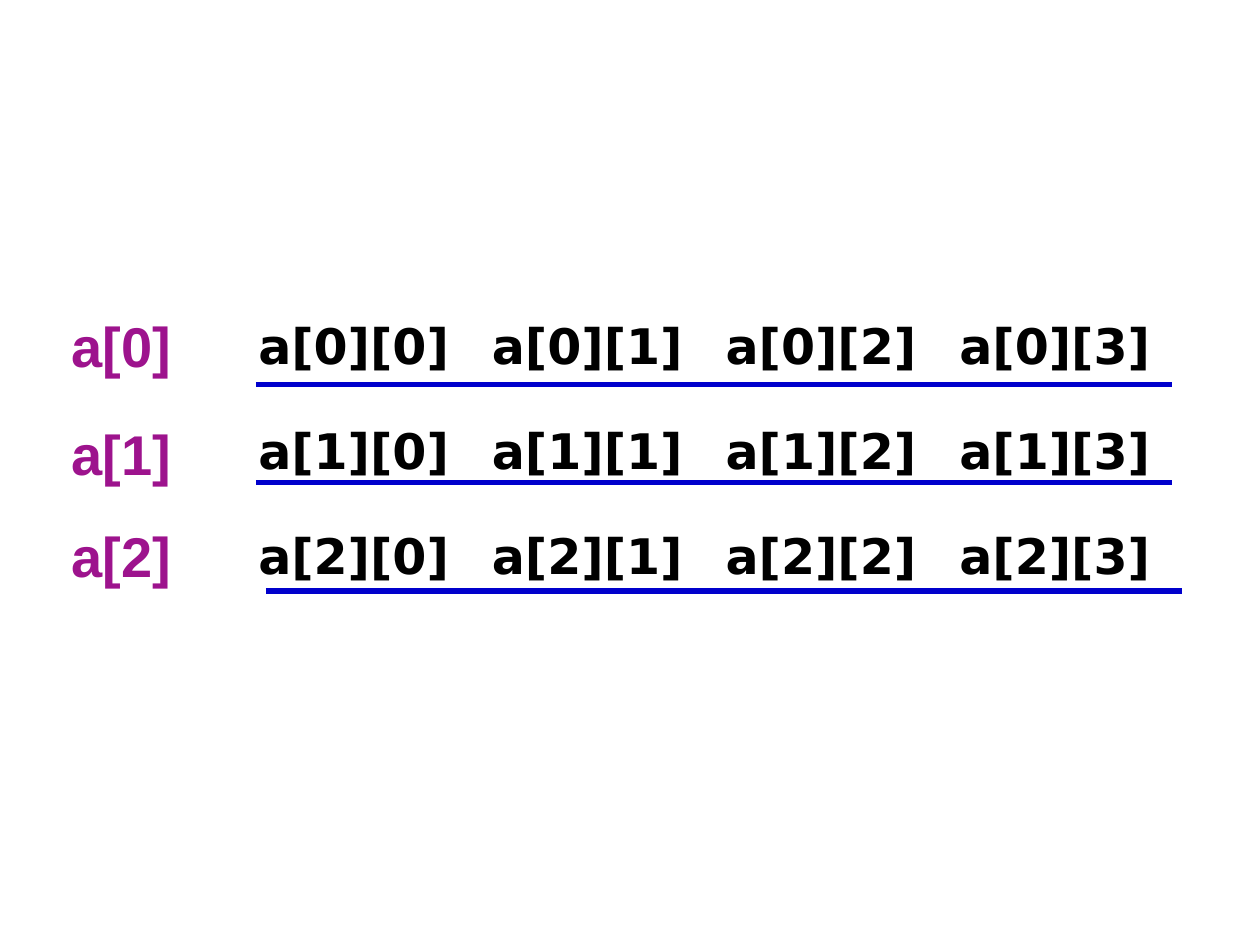
from lxml.etree import SubElement
from pptx import Presentation
from pptx.dml.color import RGBColor
from pptx.enum.shapes import MSO_CONNECTOR
from pptx.enum.text import MSO_ANCHOR, MSO_AUTO_SIZE
from pptx.oxml.ns import qn
from pptx.util import Inches, Pt

COLORS = {"element": "000000", "row_name": "9D138D", "rule": "0000CC", "paper": "FFFFFF"}
ROWS, COLUMNS = 3, 4


def color(name):
    return RGBColor.from_string(COLORS[name])


def write_text(frame, text, font, size, ink):
    span = frame.paragraphs[0].add_run()
    span.text = text
    span.font.name = font
    span.font.size = Pt(size)
    span.font.bold = True
    span.font.color.rgb = color(ink)


def add_element_table(page, left, top, width, height):
    table = page.shapes.add_table(
        ROWS, COLUMNS, Inches(left), Inches(top), Inches(width), Inches(height)
    ).table
    table.first_row = False
    table.horz_banding = False
    for row in range(ROWS):
        for column in range(COLUMNS):
            cell = table.cell(row, column)
            cell.fill.solid()
            cell.fill.fore_color.rgb = color("paper")
            cell.vertical_anchor = MSO_ANCHOR.MIDDLE
            write_text(cell.text_frame, f"a[{row}][{column}]",
                       font="DejaVu Sans", size=28, ink="element")


def add_row_name(page, text, left, top, width, height):
    box = page.shapes.add_textbox(Inches(left), Inches(top), Inches(width), Inches(height))
    box.text_frame.word_wrap = True
    box.text_frame.auto_size = MSO_AUTO_SIZE.SHAPE_TO_FIT_TEXT
    write_text(box.text_frame, text, font="Arial", size=32, ink="row_name")


def add_rule(page, left, top, width):
    rule = page.shapes.add_connector(
        MSO_CONNECTOR.STRAIGHT, Inches(left), Inches(top), Inches(left + width), Inches(top)
    )
    rule.line.color.rgb = color("rule")
    rule.line.width = Pt(3)
    SubElement(rule._element.spPr, qn("a:effectLst"))


def main():
    deck = Presentation()
    deck.slide_width, deck.slide_height = Inches(10), Inches(7.5)
    page = deck.slides.add_slide(deck.slide_layouts[6])
    add_element_table(page, 1.95, 2.34, 7.42, 2.5)
    for row, (top, width) in enumerate([(2.42, 1.17), (3.28, 1.17), (4.09, 1.25)]):
        add_row_name(page, f"a[{row}]", 0.47, top, width, 0.64)
    for left, top in [(2.03, 3.05), (2.03, 3.83), (2.11, 4.69)]:
        add_rule(page, left, top, 7.27)
    deck.save("out.pptx")


if __name__ == "__main__":
    main()
